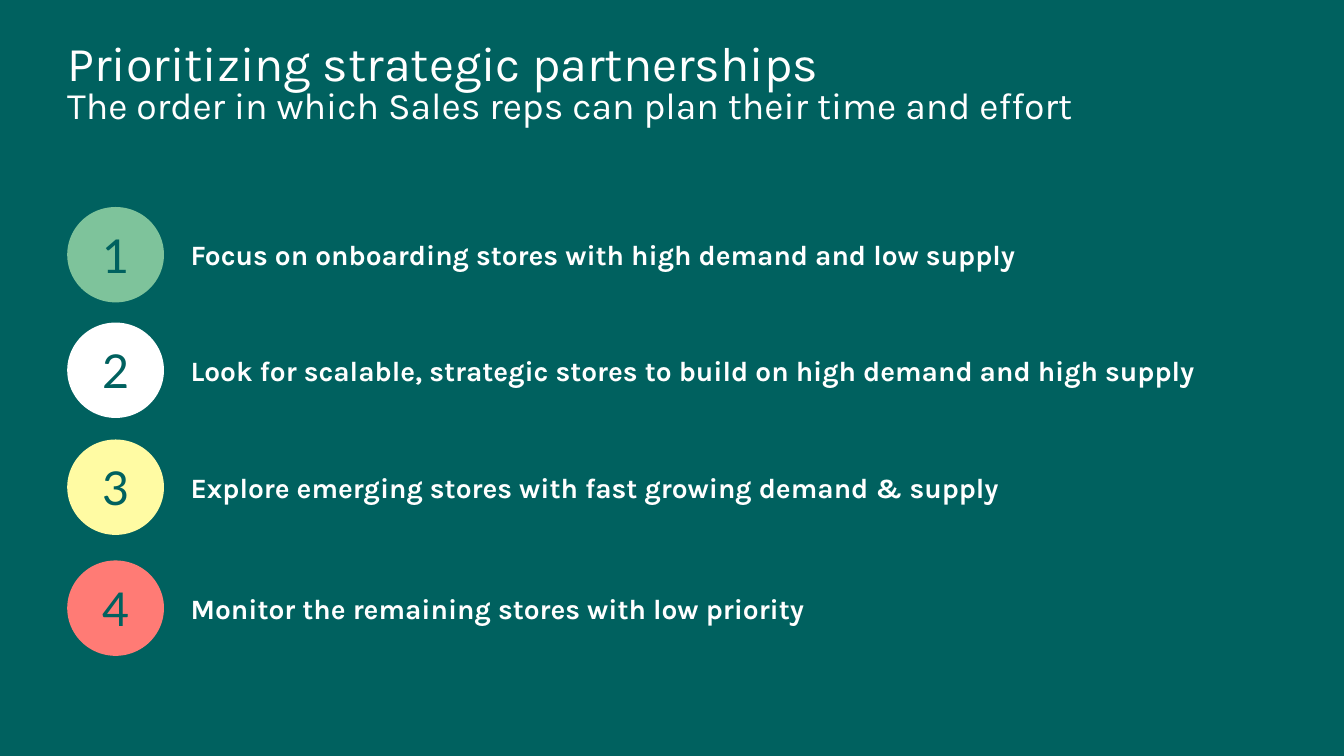
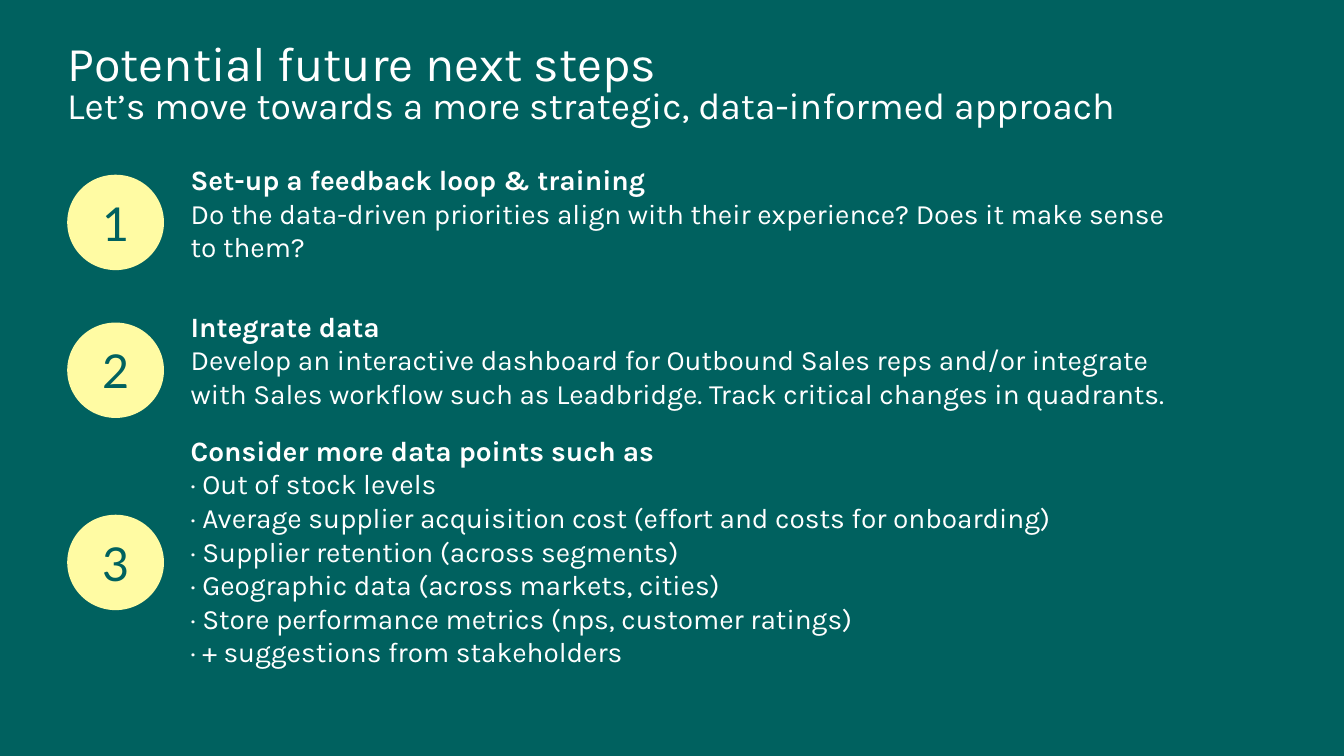
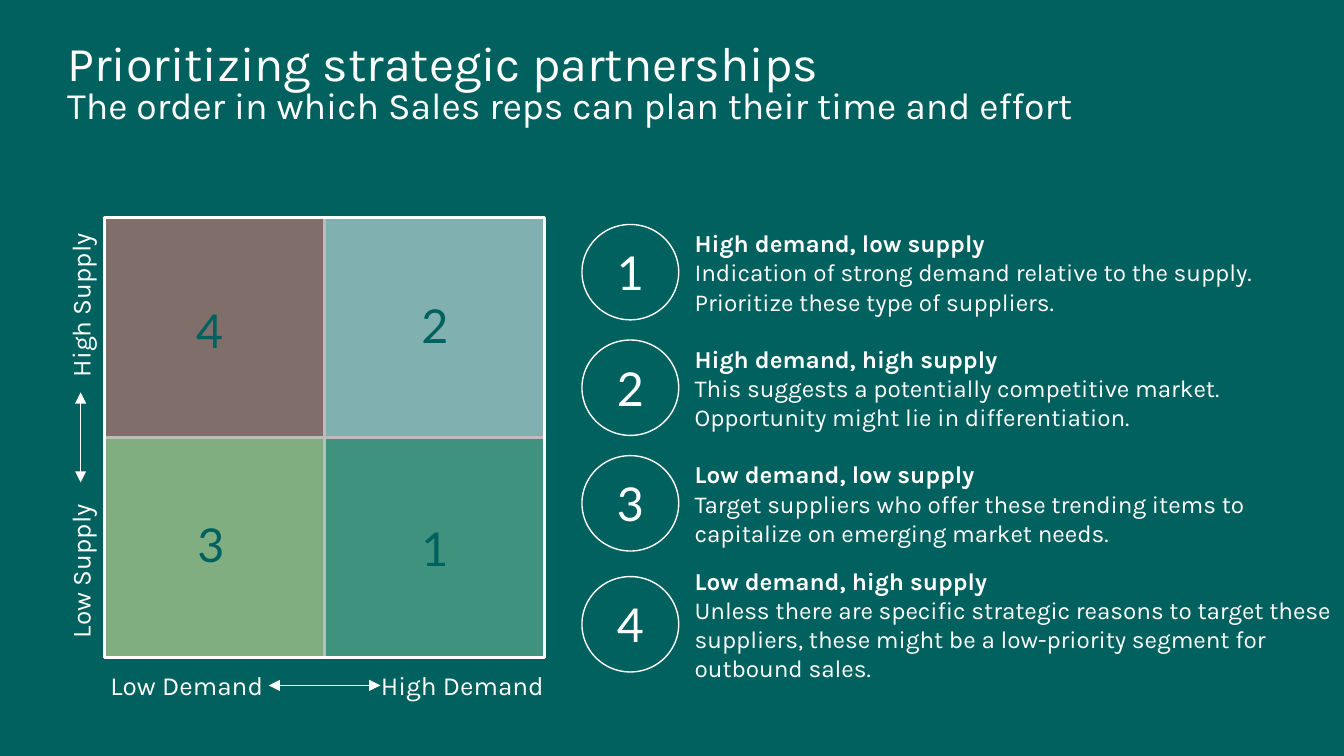
import pptx
import pptx.util
import pptx.dml.color
import pptx.enum.shapes
import pptx.enum.text
import pptx.oxml.ns
from lxml import etree

Inches = pptx.util.Inches
Pt = pptx.util.Pt
RGBColor = pptx.dml.color.RGBColor
MSO_SHAPE = pptx.enum.shapes.MSO_SHAPE
PP_ALIGN = pptx.enum.text.PP_ALIGN
MSO_ANCHOR = pptx.enum.text.MSO_ANCHOR
qn = pptx.oxml.ns.qn

TEAL = RGBColor(0x00, 0x61, 0x5F)
WHITE = RGBColor(0xFF, 0xFF, 0xFF)
GREEN = RGBColor(0x7E, 0xC3, 0x9B)
YELLOW = RGBColor(0xFF, 0xFB, 0xA3)
CORAL = RGBColor(0xFF, 0x7B, 0x75)
GREY = RGBColor(0xBC, 0xBC, 0xBC)

TEXT_FONT = "Karla"
NUMBER_FONT = "Lato"
SLIDE_W = 10
SLIDE_H = SLIDE_W * 9 / 16
MARGIN = 0.5
BADGE_W, BADGE_H = 0.72, 0.71
ROW_H = 0.79

PRIORITY_TITLE = (
    "Prioritizing strategic partnerships",
    "The order in which Sales reps can plan their time and effort",
)


def write(tf, lines, sizes=(15,), bolds=(False,), font=TEXT_FONT, color=WHITE,
          align=PP_ALIGN.LEFT, anchor=MSO_ANCHOR.TOP, inset=(0, 0), spacing=None):
    tf.word_wrap = True
    tf.auto_size = pptx.enum.text.MSO_AUTO_SIZE.NONE
    tf.vertical_anchor = anchor
    tf.margin_left = tf.margin_right = Inches(inset[0])
    tf.margin_top = tf.margin_bottom = Inches(inset[1])
    for i, line in enumerate(lines):
        p = tf.paragraphs[0] if i == 0 else tf.add_paragraph()
        p.alignment = align
        if spacing:
            p.line_spacing = spacing
        r = p.add_run()
        r.text = line
        r.font.name = font
        r.font.size = Pt(sizes[min(i, len(sizes) - 1)])
        r.font.bold = bolds[min(i, len(bolds) - 1)]
        r.font.color.rgb = color


def add_text(slide, left, top, width, height, lines, **fmt):
    sp = slide.shapes.add_textbox(Inches(left), Inches(top), Inches(width), Inches(height))
    write(sp.text_frame, lines, **fmt)
    return sp


def add_shape(slide, kind, left, top, width, height, fill=None, alpha=None, line=None, weight=0.75):
    sp = slide.shapes.add_shape(kind, Inches(left), Inches(top), Inches(width), Inches(height))
    sp.shadow.inherit = False
    if fill is None:
        sp.fill.background()
    else:
        sp.fill.solid()
        sp.fill.fore_color.rgb = fill
    if alpha is not None:
        clr = sp.fill._xPr.find(qn("a:solidFill")).find(qn("a:srgbClr"))
        etree.SubElement(clr, qn("a:alpha")).set("val", str(alpha * 1000))
    if line is None:
        sp.line.fill.background()
    else:
        sp.line.color.rgb = line
        sp.line.width = Pt(weight)
    return sp


def add_line(slide, x1, y1, x2, y2, color=WHITE, weight=0.75, arrows=False):
    cxn = slide.shapes.add_connector(pptx.enum.shapes.MSO_CONNECTOR.STRAIGHT,
                                     Inches(x1), Inches(y1), Inches(x2), Inches(y2))
    cxn.line.color.rgb = color
    cxn.line.width = Pt(weight)
    if arrows:
        ln = cxn.line._get_or_add_ln()
        for end in ("a:headEnd", "a:tailEnd"):
            etree.SubElement(ln, qn(end)).set("type", "triangle")
    etree.SubElement(cxn._element.spPr, qn("a:effectLst"))


def add_badge(slide, left, top, number, fill=None, line=None, color=TEAL):
    sp = add_shape(slide, MSO_SHAPE.OVAL, left, top, BADGE_W, BADGE_H, fill=fill, line=line)
    write(sp.text_frame, [str(number)], sizes=(25,), font=NUMBER_FONT, color=color,
          align=PP_ALIGN.CENTER, anchor=MSO_ANCHOR.MIDDLE, inset=(0, 0.04))


def add_item(slide, left, top, width, height, lines, size=15):
    add_text(slide, left, top, width, height, lines, sizes=(size,), bolds=(True, False),
             anchor=MSO_ANCHOR.MIDDLE, inset=(0.1, 0.1))


def add_title_slide(prs, lines):
    slide = prs.slides.add_slide(prs.slide_layouts[5])
    title = slide.shapes.title
    title.left, title.top = Inches(MARGIN), Inches(0.33)
    title.width, title.height = Inches(9), Inches(0.71)
    write(title.text_frame, lines, sizes=(26, 20), spacing=0.8)
    return slide


def priority_slide(prs):
    slide = add_title_slide(prs, PRIORITY_TITLE)
    rows = [
        (1.5, 6.63, GREEN, "Focus on onboarding stores with high demand and low supply"),
        (2.36, 8.1, WHITE, "Look for scalable, strategic stores to build on high demand and high supply"),
        (3.23, 7.83, YELLOW, "Explore emerging stores with fast growing demand & supply"),
        (4.13, 4.95, CORAL, "Monitor the remaining stores with low priority"),
    ]
    for number, (top, width, fill, text) in enumerate(rows, 1):
        add_badge(slide, MARGIN, top + 0.04, number, fill=fill)
        add_item(slide, 1.32, top, width, ROW_H, [text])


def next_steps_slide(prs):
    slide = add_title_slide(prs, (
        "Potential future next steps",
        "Let’s move towards a more strategic, data-informed approach",
    ))
    steps = [
        (1.3, 1.19, 0.79, [
            "Set-up a feedback loop & training",
            "Do the data-driven priorities align with their experience? Does it make sense to them?",
        ]),
        (2.4, 2.16, 1.03, [
            "Integrate data",
            "Develop an interactive dashboard for Outbound Sales reps and/or integrate with Sales "
            "workflow such as Leadbridge. Track critical changes in quadrants.",
        ]),
        (3.83, 3.38, 1.44, [
            "Consider more data points such as",
            "· Out of stock levels",
            "· Average supplier acquisition cost (effort and costs for onboarding)",
            "· Supplier retention (across segments)",
            "· Geographic data (across markets, cities)",
            "· Store performance metrics (nps, customer ratings)",
            "· + suggestions from stakeholders",
        ]),
    ]
    for number, (badge_top, top, height, lines) in enumerate(steps, 1):
        add_badge(slide, MARGIN, badge_top, number, fill=YELLOW)
        add_item(slide, 1.32, top, 7.55, height, lines)


def add_matrix(slide, left, top, size):
    cell = size / 2
    quadrants = [
        (3, 0, 1, YELLOW, 0.43, 0.44),
        (4, 0, 0, CORAL, 0.42, 0.48),
        (1, 1, 1, GREEN, 0.46, 0.47),
        (2, 1, 0, WHITE, 0.46, 0.44),
    ]
    for number, col, row, fill, dx, dy in quadrants:
        x, y = left + col * cell, top + row * cell
        add_shape(slide, MSO_SHAPE.RECTANGLE, x, y, cell, cell, fill=fill, alpha=50)
        add_badge(slide, x + dx, y + dy, number)
    add_line(slide, left, top + cell, left + size, top + cell, color=GREY, weight=1.5)
    add_line(slide, left + cell, top, left + cell, top + size, color=GREY, weight=1.5)
    add_shape(slide, MSO_SHAPE.RECTANGLE, left, top, size, size, line=WHITE, weight=1.5)

    label = dict(sizes=(14,), align=PP_ALIGN.CENTER)
    for x, text in ((0, "Low Demand"), (2.05, "High Demand")):
        add_text(slide, left + x, top + 3.36, 1.22, 0.24, [text], **label)
    for y, text in ((0.53, "High Supply"), (2.51, "Low Supply")):
        add_text(slide, left - 0.83, top + y, 1.3, 0.24, [text], **label).rotation = 270
    add_line(slide, left + 1.22, top + 3.48, left + 2.05, top + 3.48, arrows=True)
    add_line(slide, left - 0.18, top + 1.97, left - 0.18, top + 1.3, arrows=True)


def add_legend(slide, left, tops):
    entries = [
        ("High demand, low supply",
         "Indication of strong demand relative to the supply. Prioritize these type of suppliers."),
        ("High demand, high supply",
         "This suggests a potentially competitive market. Opportunity might lie in differentiation."),
        ("Low demand, low supply",
         "Target suppliers who offer these trending items to capitalize on emerging market needs."),
        ("Low demand, high supply",
         "Unless there are specific strategic reasons to target these suppliers, these might be "
         "a low-priority segment for outbound sales."),
    ]
    for number, (top, lines) in enumerate(zip(tops, entries), 1):
        add_badge(slide, left, top + 0.04, number, line=WHITE, color=WHITE)
        add_item(slide, left + 0.74, top, 4.95, ROW_H, lines, size=13)


def matrix_slide(prs):
    slide = add_title_slide(prs, PRIORITY_TITLE)
    add_matrix(slide, 0.78, 1.62, 3.27)
    add_legend(slide, 4.33, (1.63, 2.49, 3.35, 4.25))


def main():
    prs = pptx.Presentation()
    prs.slide_width, prs.slide_height = Inches(SLIDE_W), Inches(SLIDE_H)
    bg = prs.slide_master.background.fill
    bg.solid()
    bg.fore_color.rgb = TEAL
    priority_slide(prs)
    next_steps_slide(prs)
    matrix_slide(prs)
    prs.save("out.pptx")


if __name__ == "__main__":
    main()
